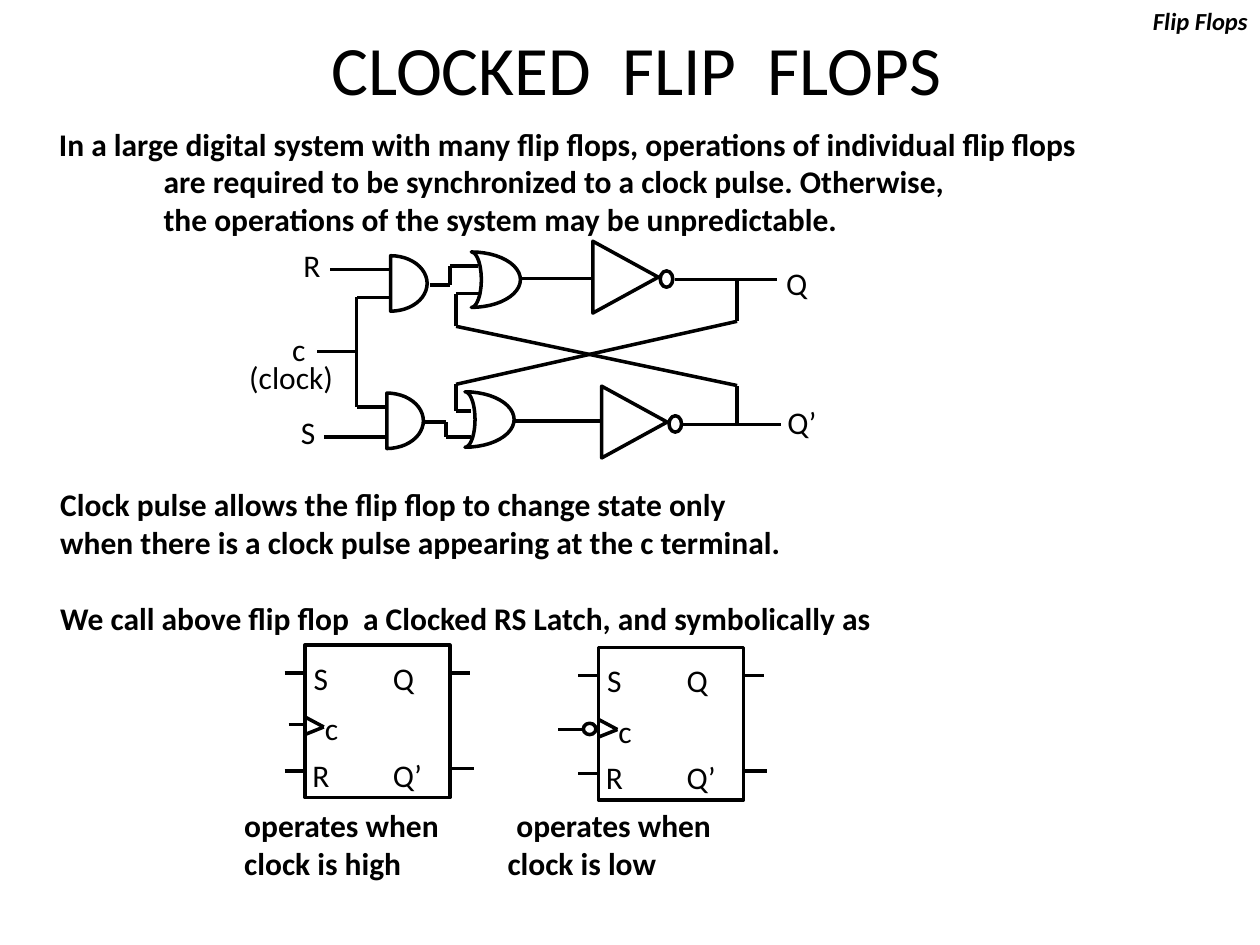
from dataclasses import dataclass
from itertools import pairwise
from math import cos, pi, sin

from lxml.etree import SubElement
from pptx import Presentation
from pptx.dml.color import RGBColor
from pptx.enum.shapes import MSO_CONNECTOR as CONN, MSO_SHAPE as SHAPE
from pptx.enum.text import MSO_ANCHOR as ANCHOR, PP_ALIGN as ALIGN
from pptx.oxml.ns import qn
from pptx.util import Inches, Pt

COLORS = {"ink": "000000"}
FONT = "Calibri"
Point = tuple[float, float]


@dataclass
class Line:
    text: str
    indent: float = 0
    before: float = 0


@dataclass
class TextBox:
    x: float
    y: float
    w: float
    h: float
    lines: list[Line]
    size: float = 18
    bold: bool = False
    italic: bool = False
    align: ALIGN = ALIGN.LEFT
    anchor: ANCHOR = ANCHOR.TOP


@dataclass
class Stage:
    """One row of the circuit; gates are placed by the middle of their left edge."""
    and_gate: Point
    or_gate: Point
    inverter: Point


@dataclass
class Latch:
    x: float
    y: float
    active_low: bool


TEXTS = [
    TextBox(0.39, 0.33, 9.32, 0.41, [Line("CLOCKED  FLIP  FLOPS")], 39.6,
            align=ALIGN.CENTER, anchor=ANCHOR.MIDDLE),
    TextBox(8.89, 0, 1.11, 0.31, [Line("Flip Flops")], 14, True, True, ALIGN.RIGHT),
    TextBox(0.37, 0.94, 9.57, 0.91, [
        Line("In a large digital system with many flip flops, "
             "operations of individual flip flops"),
        Line("are required to be synchronized to a clock pulse. Otherwise,", 0.83),
        Line("the operations of the system may be unpredictable.", 0.83),
    ], bold=True),
    TextBox(0.38, 3.8, 7.8, 1.18, [
        Line("Clock pulse allows the flip flop to change state only"),
        Line("when there is a clock pulse appearing at the c terminal."),
        Line("We call above flip flop  a Clocked RS Latch, and symbolically as", before=22),
    ], bold=True),
    TextBox(1.84, 6.35, 1.9, 0.64,
            [Line("operates when"), Line("clock is high")], bold=True),
    TextBox(3.93, 6.35, 2.37, 0.64,
            [Line("operates when", 0.07), Line("clock is low")], bold=True),
]

TERMINALS = [
    ("R", 2.31, 1.9), ("S", 2.29, 3.23), ("Q", 6.14, 2.05), ("Q’", 6.15, 3.15),
    ("c", 2.22, 2.57), ("(clock)", 1.88, 2.79),
]

STAGES = [
    Stage((3.1, 2.25), (3.74, 2.22), (4.68, 1.94)),
    Stage((3.07, 3.34), (3.69, 3.33), (4.75, 3.09)),
]

WIRES = [
    [(2.62, 2.14), (3.11, 2.14)],
    [(2.57, 3.47), (3.08, 3.47)],
    [(2.52, 2.79), (2.83, 2.79)],
    [(3.11, 2.36), (2.83, 2.36), (2.83, 3.23), (3.08, 3.23)],
    [(3.41, 2.26), (3.57, 2.26), (3.57, 2.11), (3.79, 2.11)],
    [(3.37, 3.35), (3.54, 3.35), (3.54, 3.47), (3.74, 3.47)],
    [(4.12, 2.21), (4.7, 2.21)],
    [(4.07, 3.34), (4.77, 3.34)],
    [(5.36, 2.22), (6.17, 2.22)],
    [(5.42, 3.37), (6.2, 3.37)],
    # Cross-coupled feedback
    [(5.85, 2.22), (5.85, 2.55), (3.62, 3.05), (3.62, 3.26), (3.74, 3.26)],
    [(5.85, 3.37), (5.85, 3.06), (3.62, 2.59), (3.62, 2.33), (3.82, 2.33)],
]

LATCHES = [Latch(2.42, 5.12, False), Latch(4.75, 5.14, True)]
# Relative to the top left corner of a latch
LATCH_WIRES = [
    [(-0.16, 0.22), (0, 0.22)],
    [(-0.16, 1), (0, 1)],
    [(1.15, 0.22), (1.31, 0.22)],
    [(1.15, 0.98), (1.34, 0.98)],
    [(0, 0.57), (0.15, 0.65), (0, 0.71)],
]
LATCH_LABELS = [("S", -0.03, 0.06), ("Q", 0.6, 0.06), ("c", 0.06, 0.46),
                ("R", -0.04, 0.83), ("Q’", 0.6, 0.83)]


def ink() -> RGBColor:
    return RGBColor.from_string(COLORS["ink"])


def add_text(s, box: TextBox) -> None:
    sp = s.shapes.add_textbox(*map(Inches, (box.x, box.y, box.w, box.h)))
    tf = sp.text_frame
    tf.word_wrap = True
    tf.vertical_anchor = box.anchor
    for i, line in enumerate(box.lines):
        p = tf.add_paragraph() if i else tf.paragraphs[0]
        p.alignment = box.align
        p.space_before = Pt(line.before)
        if line.indent:
            p._p.get_or_add_pPr().set("marL", str(Inches(line.indent)))
        r = p.add_run()
        r.text = line.text
        r.font.name, r.font.size = FONT, Pt(box.size)
        r.font.bold, r.font.italic = box.bold, box.italic
        r.font.color.rgb = ink()


def add_label(s, text: str, x: float, y: float) -> None:
    add_text(s, TextBox(x, y, 0.3 + 0.09 * len(text), 0.37, [Line(text)]))


def outline(sp) -> None:
    sp.shadow.inherit = False
    sp.fill.background()
    sp.line.color.rgb = ink()
    sp.line.width = Pt(2)


def add_outlined(s, kind: SHAPE, x: float, y: float, w: float, h: float):
    sp = s.shapes.add_shape(kind, *map(Inches, (x, y, w, h)))
    outline(sp)
    return sp


def add_wire(s, points: list[Point], dx: float = 0, dy: float = 0) -> None:
    for (x1, y1), (x2, y2) in pairwise(points):
        ends = map(Inches, (x1 + dx, y1 + dy, x2 + dx, y2 + dy))
        cn = s.shapes.add_connector(CONN.STRAIGHT, *ends)
        cn.line.color.rgb = ink()
        cn.line.width = Pt(2)
        SubElement(cn._element.spPr, qn("a:effectLst"))


def right_arc(center: Point, rx: float, ry: float = 0.22, steps: int = 24) -> list[Point]:
    """Points of the right half of an ellipse, from top to bottom."""
    angles = [pi * i / steps - pi / 2 for i in range(steps + 1)]
    return [(center[0] + rx * cos(a), center[1] + ry * sin(a)) for a in angles]


def add_gate(s, points: list[Point]) -> None:
    start, *rest = [(Inches(x), Inches(y)) for x, y in points]
    fb = s.shapes.build_freeform(*start, scale=1.0)
    fb.add_line_segments(rest, close=True)
    outline(fb.convert_to_shape())


def add_stage(s, stage: Stage) -> None:
    add_gate(s, right_arc(stage.and_gate, 0.29))
    add_gate(s, right_arc(stage.or_gate, 0.39) + right_arc(stage.or_gate, 0.08)[::-1])
    x, y = stage.inverter
    add_outlined(s, SHAPE.ISOSCELES_TRIANGLE, x, y, 0.57, 0.52).rotation = 90
    add_outlined(s, SHAPE.OVAL, x + 0.56, y + 0.21, 0.1, 0.13)


def add_latch(s, latch: Latch) -> None:
    x, y = latch.x, latch.y
    add_outlined(s, SHAPE.RECTANGLE, x, y, 1.15, 1.21)
    clock = [(-0.32, 0.65), (-0.12, 0.65)] if latch.active_low else [(-0.13, 0.63), (0, 0.63)]
    for wire in [*LATCH_WIRES, clock]:
        add_wire(s, wire, x, y)
    if latch.active_low:
        add_outlined(s, SHAPE.OVAL, x - 0.12, y + 0.6, 0.1, 0.09)
    for text, dx, dy in LATCH_LABELS:
        add_label(s, text, x + dx, y + dy)


def main() -> None:
    prs = Presentation()
    prs.slide_width, prs.slide_height = Inches(10), Inches(7.5)
    s = prs.slides.add_slide(prs.slide_layouts[6])
    for box in TEXTS:
        add_text(s, box)
    for stage in STAGES:
        add_stage(s, stage)
    for wire in WIRES:
        add_wire(s, wire)
    for terminal in TERMINALS:
        add_label(s, *terminal)
    for latch in LATCHES:
        add_latch(s, latch)
    prs.save("out.pptx")


if __name__ == "__main__":
    main()
